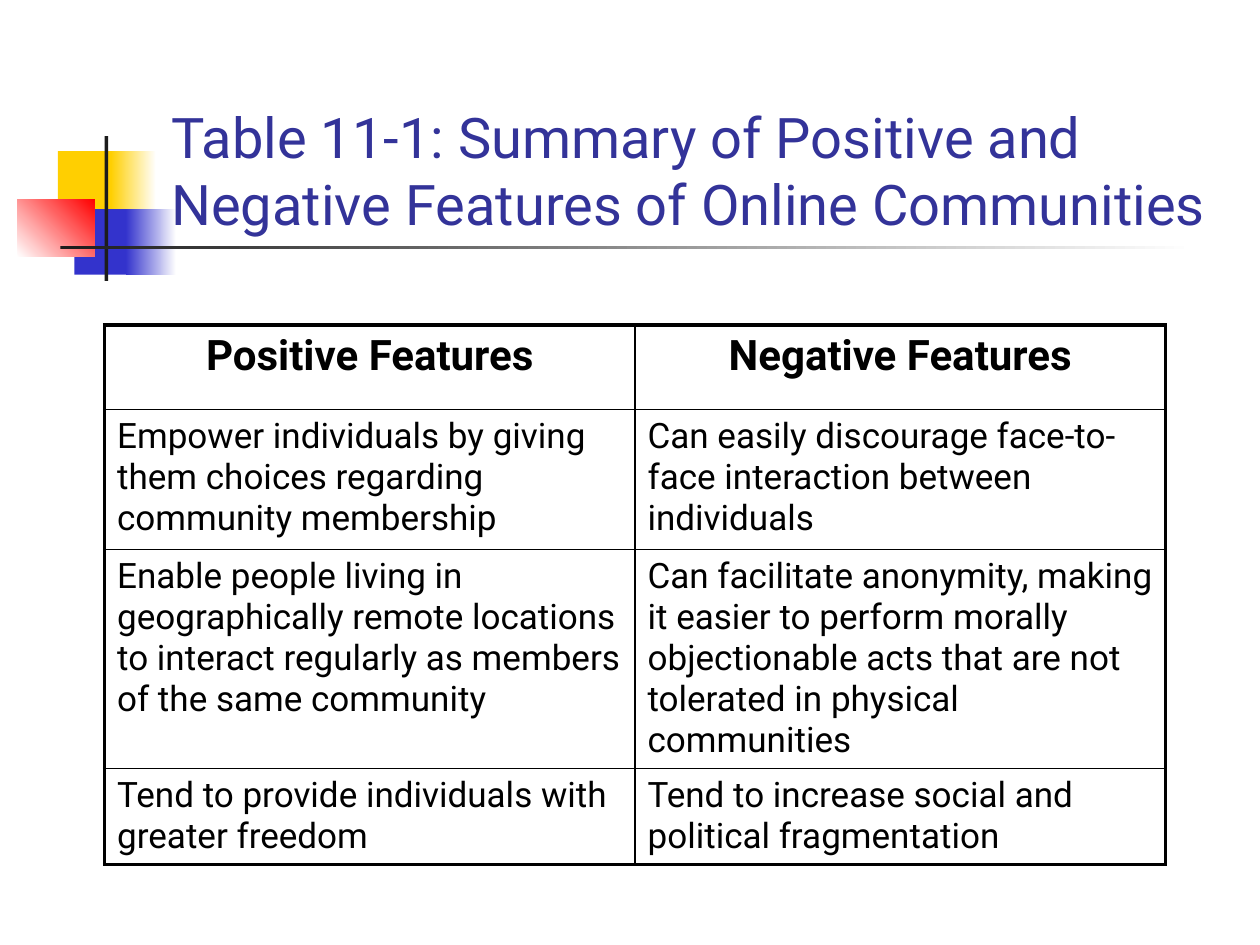
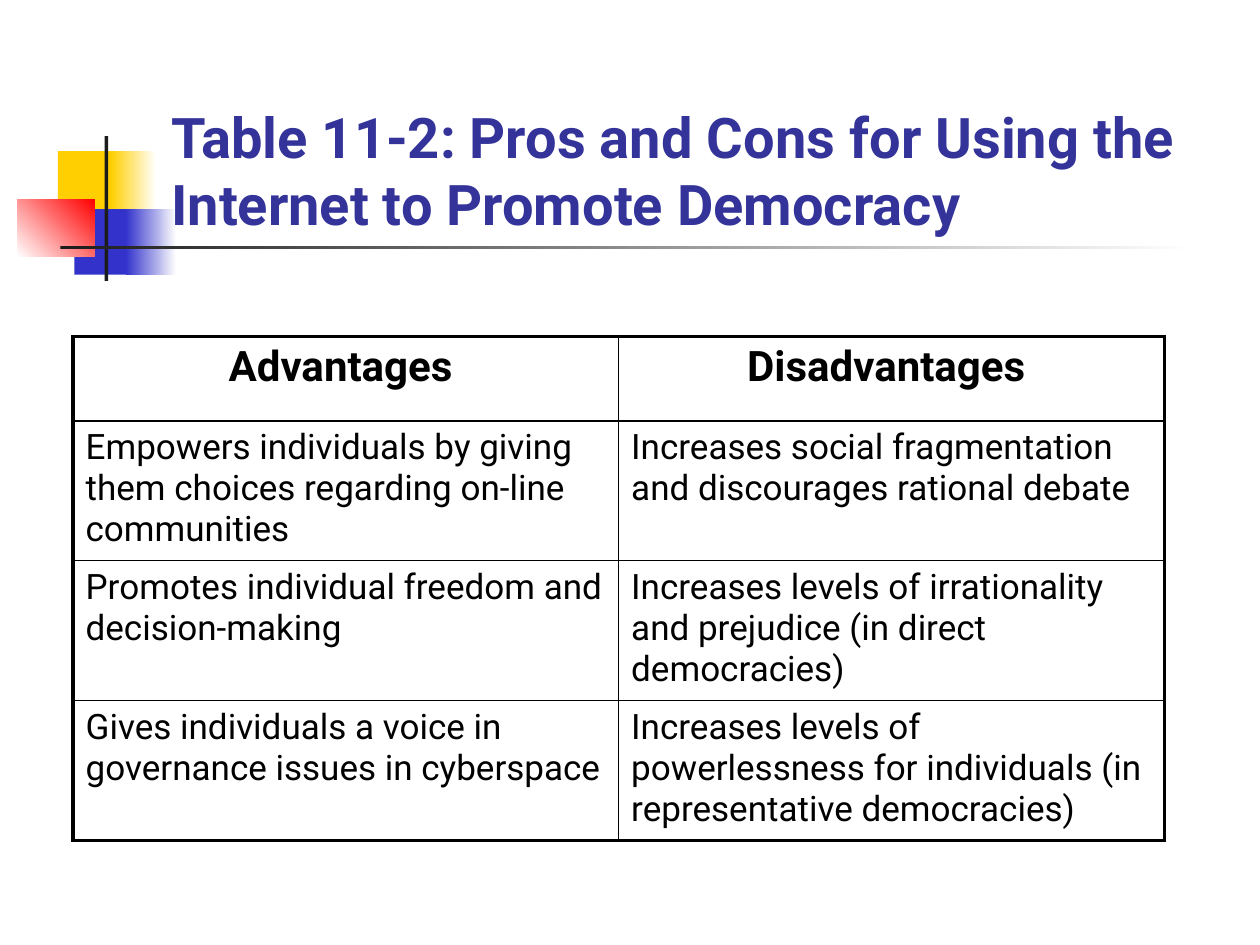
from lxml.etree import SubElement
from pptx import Presentation
from pptx.dml.color import RGBColor
from pptx.enum.shapes import MSO_SHAPE as Preset
from pptx.enum.text import MSO_ANCHOR as Anchor, MSO_AUTO_SIZE as AutoSize, PP_ALIGN as Align
from pptx.oxml.ns import qn
from pptx.util import Inches, Pt

FONT = "Roboto"
WHITE, BLACK, CHARCOAL = "FFFFFF", "000000", "1C1C1C"
GOLD, BLUE, RED, TITLE_BLUE = "FFCF01", "3333CC", "FF0000", "333399"
TITLE_BOX = (1.26, 0.68, 8.52, 1.25)
OUTER_LINE, INNER_LINE = 2.25, 1
FIRST_BAND_ID = 100

TITLE = {"name": FONT, "size": Pt(32), "bold": False}
HEADING = {"name": FONT, "size": Pt(24), "bold": True}
BODY = {"name": FONT, "size": Pt(20), "bold": False}

BAND = [
    ((0.46, 1.2, 0.48, 0.52), (GOLD,), 0),
    ((0.88, 1.2, 0.36, 0.52), (GOLD, WHITE), 0),
    ((0.59, 1.66, 0.46, 0.52), (BLUE,), 0),
    ((1, 1.66, 0.4, 0.52), (BLUE, WHITE), 0),
    ((0.14, 1.58, 0.61, 0.46), (WHITE, RED), 45),
    ((0.83, 1.08, 0.03, 1.15), (CHARCOAL,), 0),
    ((0.48, 1.95, 9, 0.03), (CHARCOAL, WHITE), 0),
]

FEATURES = [
    ("Positive Features", "Negative Features"),
    ("Empower individuals by giving them choices regarding community membership",
     "Can easily discourage face-to-face interaction between individuals"),
    ("Enable people living in geographically remote locations to interact regularly "
     "as members of the same community",
     "Can facilitate anonymity, making it easier to perform morally objectionable acts "
     "that are not tolerated in physical communities"),
    ("Tend to provide individuals with greater freedom",
     "Tend to increase social and political fragmentation"),
]

DEMOCRACY = [
    ("Advantages ", "Disadvantages "),
    ("Empowers individuals by giving them choices regarding on-line communities",
     "Increases social fragmentation and discourages rational debate"),
    ("Promotes individual freedom and decision-making",
     "Increases levels of irrationality and prejudice (in direct democracies)"),
    ("Gives individuals a voice in governance issues in cyberspace",
     "Increases levels of powerlessness for individuals (in representative democracies)"),
]


def color(value):
    return RGBColor.from_string(value)


def inches(values):
    return [Inches(value) for value in values]


class SlideBuilder:
    def __init__(self, deck):
        self.deck = deck
        self.layout = deck.slide_layouts.get_by_name("Title Only")
        self.page = None

    def new_page(self):
        self.page = self.deck.slides.add_slide(self.layout)

    def format_text(self, para, text, style, tint):
        span = para.add_run()
        span.text = text
        for name, value in style.items():
            setattr(span.font, name, value)
        span.font.color.rgb = color(tint)

    def title(self, text, **changes):
        box = self.page.shapes.title
        box.left, box.top, box.width, box.height = inches(TITLE_BOX)
        frame = box.text_frame
        frame.word_wrap = True
        frame.auto_size = AutoSize.NONE
        frame.vertical_anchor = Anchor.BOTTOM
        para = frame.paragraphs[0]
        para.alignment = Align.LEFT
        self.format_text(para, text, {**TITLE, **changes}, TITLE_BLUE)

    def block(self, place, tints, angle):
        box = self.page.shapes.add_shape(Preset.RECTANGLE, *inches(place))
        box.shadow.inherit = False
        box.line.fill.background()
        if len(tints) == 1:
            box.fill.solid()
            box.fill.fore_color.rgb = color(tints[0])
        else:
            box.fill.gradient()
            box.fill.gradient_angle = angle
            for stop, tint in zip(box.fill.gradient_stops, tints):
                stop.color.rgb = color(tint)
        return box

    def shared_band(self):
        for number, (place, tints, angle) in enumerate(BAND, FIRST_BAND_ID):
            element = self.block(place, tints, angle).element
            element.nvSpPr.cNvPr.set("id", str(number))
            self.layout.shapes.element.append(element)

    def borders(self, cell, outer_sides):
        properties = cell._tc.get_or_add_tcPr()
        for side in "LRTB":
            width = OUTER_LINE if side in outer_sides else INNER_LINE
            line = SubElement(properties, qn(f"a:ln{side}"), w=str(Pt(width)))
            fill = SubElement(line, qn("a:solidFill"))
            SubElement(fill, qn("a:srgbClr"), val=BLACK)

    def table(self, rows, left, top, column_width, heights):
        last_row, last_column = len(rows) - 1, len(rows[0]) - 1
        place = (left, top, column_width * len(rows[0]), sum(heights))
        table = self.page.shapes.add_table(len(rows), len(rows[0]), *inches(place)).table
        table.first_row = table.horz_banding = False
        for column in table.columns:
            column.width = Inches(column_width)
        for row, height in zip(table.rows, heights):
            row.height = Inches(height)
        for i, texts in enumerate(rows):
            for j, text in enumerate(texts):
                cell = table.cell(i, j)
                edges = {"L": j == 0, "R": j == last_column, "T": i == 0, "B": i == last_row}
                self.borders(cell, [side for side, outer in edges.items() if outer])
                cell.fill.background()
                para = cell.text_frame.paragraphs[0]
                para.alignment = Align.CENTER if i == 0 else Align.LEFT
                self.format_text(para, text, HEADING if i == 0 else BODY, BLACK)


def main():
    deck = Presentation()
    deck.slide_width, deck.slide_height = inches((10, 7.5))
    builder = SlideBuilder(deck)

    builder.new_page()
    builder.shared_band()
    builder.title("Table 11-1: Summary of Positive and Negative Features of Online Communities")
    builder.table(FEATURES, 0.83, 2.58, 4.21, (0.67, 1.11, 1.74, 0.76))

    builder.new_page()
    builder.title("Table 11-2: Pros and Cons for Using the Internet to Promote Democracy", bold=True)
    builder.table(DEMOCRACY, 0.58, 2.67, 4.33, (0.67, 1.11, 1.11, 1.11))

    deck.save("out.pptx")


if __name__ == "__main__":
    main()
